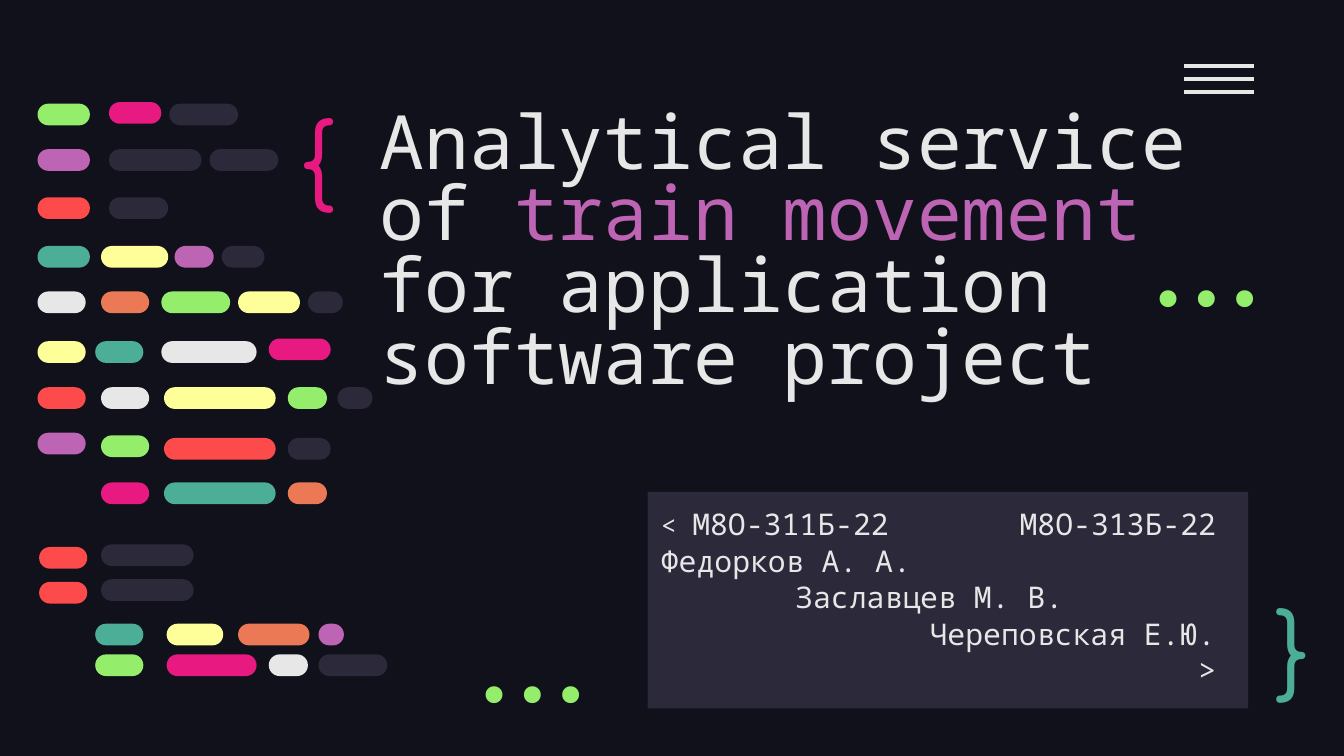
from dataclasses import dataclass

from lxml import etree
from pptx import Presentation
from pptx.dml.color import RGBColor
from pptx.enum.shapes import MSO_CONNECTOR, MSO_SHAPE
from pptx.enum.text import MSO_ANCHOR, PP_ALIGN
from pptx.oxml.ns import qn
from pptx.util import Cm, Pt

ROUNDED = MSO_SHAPE.ROUNDED_RECTANGLE
STRAIGHT = MSO_CONNECTOR.STRAIGHT
TOP, MIDDLE, BOTTOM = MSO_ANCHOR.TOP, MSO_ANCHOR.MIDDLE, MSO_ANCHOR.BOTTOM
LEFT, RIGHT, JUSTIFY = PP_ALIGN.LEFT, PP_ALIGN.RIGHT, PP_ALIGN.JUSTIFY


@dataclass(frozen=True)
class Theme:
    background: str = "10111A"
    panel: str = "2C293A"
    white: str = "E7E7E7"
    green: str = "94EE6B"
    pink: str = "E81A81"
    purple: str = "BD64B5"
    red: str = "FD4A4A"
    teal: str = "4CAE97"
    yellow: str = "FFFF99"
    orange: str = "EC7955"
    body_font: str = "Noto Sans Mono"
    brace_font: str = "Comfortaa"
    dots_font: str = "Fira Code"
    title_size: int = 40
    symbol_size: int = 50
    body_size: int = 16
    small_size: int = 14


class SlideBuilder:
    def __init__(self, slide, theme):
        self.s = slide
        self.theme = theme
        fill = slide.background.fill
        fill.solid()
        fill.fore_color.rgb = RGBColor.from_string(theme.background)

    def text_box(self, x, y, w, h, anchor=TOP, fill=None):
        sp = self.s.shapes.add_textbox(Cm(x), Cm(y), Cm(w), Cm(h))
        if fill:
            sp.fill.solid()
            sp.fill.fore_color.rgb = RGBColor.from_string(fill)
        tf = sp.text_frame
        tf.word_wrap = True
        tf.vertical_anchor = anchor
        tf.margin_left = tf.margin_right = Cm(0.25)
        tf.margin_top = tf.margin_bottom = Cm(0.25)
        return tf

    def run(self, p, text, size, color, font):
        r = p.add_run()
        r.text = text
        r.font.size = Pt(size)
        r.font.name = font
        r.font.color.rgb = RGBColor.from_string(color)

    def symbol(self, text, box, color, font, anchor=TOP, align=LEFT):
        p = self.text_box(*box, anchor=anchor).paragraphs[0]
        p.alignment = align
        self.run(p, text, self.theme.symbol_size, color, font)

    def indent(self, p, left):
        p._p.get_or_add_pPr().set("marL", str(Cm(left)))

    def tab_stop(self, p, pos):
        tabs = etree.SubElement(p._p.get_or_add_pPr(), qn("a:tabLst"))
        etree.SubElement(tabs, qn("a:tab"), pos=str(Cm(pos)), algn="l")

    def group(self):
        return self.s.shapes.add_group_shape()

    def bar(self, group, x, y, w, h, color):
        sp = group.shapes.add_shape(ROUNDED, Cm(x), Cm(y), Cm(w), Cm(h))
        sp.adjustments[0] = 0.5
        sp.shadow.inherit = False
        sp.fill.solid()
        sp.fill.fore_color.rgb = RGBColor.from_string(color)
        sp.line.fill.background()

    def line(self, group, x1, x2, y, color, width):
        ln = group.shapes.add_connector(STRAIGHT, Cm(x1), Cm(y), Cm(x2), Cm(y))
        ln.line.color.rgb = RGBColor.from_string(color)
        ln.line.width = Pt(width)
        etree.SubElement(ln._element.spPr, qn("a:effectLst"))


T = Theme()
BAR_HEIGHT = 0.41

# Code bars: top of the row, then (left, width, colour) of each bar, in cm
CODE_ROWS = [
    (1.96, [(0.71, 0.99, T.green), (3.2, 1.3, T.panel)]),
    (1.93, [(2.06, 0.99, T.pink)]),
    (2.82, [(0.71, 0.99, T.purple), (2.06, 1.75, T.panel), (3.96, 1.3, T.panel)]),
    (3.73, [(0.71, 0.99, T.red), (2.06, 1.12, T.panel)]),
    (4.65, [(0.71, 0.99, T.teal), (1.91, 1.27, T.yellow), (3.3, 0.74, T.purple),
            (4.19, 0.81, T.panel)]),
    (5.51, [(0.71, 0.91, T.white), (1.91, 0.91, T.orange), (3.05, 1.3, T.green),
            (4.5, 1.17, T.yellow), (5.82, 0.66, T.panel)]),
    (6.45, [(0.71, 0.91, T.yellow), (1.8, 0.91, T.teal), (3.05, 1.8, T.white)]),
    (6.4, [(5.08, 1.17, T.pink)]),
    (7.32, [(0.71, 0.91, T.red), (1.91, 0.91, T.white), (3.1, 2.11, T.yellow),
            (5.44, 0.74, T.green), (6.38, 0.66, T.panel)]),
    (8.18, [(0.71, 0.91, T.purple)]),
    (8.23, [(1.91, 0.91, T.green)]),
    (8.28, [(3.1, 2.11, T.red), (5.44, 0.81, T.panel)]),
    (9.12, [(1.91, 0.91, T.pink), (3.1, 2.11, T.teal), (5.44, 0.74, T.orange)]),
    (10.29, [(1.91, 1.75, T.panel)]),
    (10.34, [(0.74, 0.91, T.red)]),
    (10.95, [(1.91, 1.75, T.panel)]),
    (11, [(0.74, 0.91, T.red)]),
    (11.79, [(1.8, 0.91, T.teal), (3.15, 1.07, T.yellow), (4.5, 1.35, T.orange),
             (6.02, 0.48, T.purple)]),
    (12.37, [(1.8, 0.91, T.green), (3.15, 1.7, T.pink), (5.08, 0.74, T.white),
             (6.02, 1.3, T.panel)]),
]

# Authors: left indent in cm and text
AUTHOR_LINES = [
    (0, "М8О-311Б-22\tМ8О-313Б-22"),
    (0, "Федорков А. А."),
    (2.54, "Заславцев М. В."),
    (5.08, "Череповская Е.Ю."),
    (10.16, ">"),
]


def main():
    prs = Presentation()
    prs.slide_width, prs.slide_height = Cm(25.4), Cm(14.29)
    b = SlideBuilder(prs.slides.add_slide(prs.slide_layouts[6]), T)

    # Title
    p = b.text_box(6.93, 0.41, 15.9, 7.37, BOTTOM).paragraphs[0]
    p.line_spacing = 0.8
    b.run(p, "Analytical service of ", T.title_size, T.white, T.body_font)
    b.run(p, "train movement", T.title_size, T.purple, T.body_font)
    p.add_line_break()
    b.run(p, "for application software project", T.title_size, T.white, T.body_font)

    # Authors panel
    tf = b.text_box(12.24, 9.3, 11.35, 4.09, fill=T.panel)
    for i, (left, text) in enumerate(AUTHOR_LINES):
        p = tf.add_paragraph() if i else tf.paragraphs[0]
        p.alignment = JUSTIFY
        p.line_spacing = 1.02
        b.indent(p, left)
        if i == 0:
            b.tab_stop(p, 6.78)
            b.run(p, "< ", T.small_size, T.white, T.body_font)
        b.run(p, text, T.body_size, T.white, T.body_font)

    # Braces and dots
    b.symbol("{", (5.41, 1.6, 1.96, 2.41), T.pink, T.brace_font)
    b.symbol("}", (23.85, 11.13, 1.45, 2.11), T.teal, T.brace_font, MIDDLE)
    for x, y in [(20.68, 4.88), (7.95, 12.37)]:
        b.symbol("...", (x, y, 4.01, 1.52), T.green, T.dots_font, BOTTOM, RIGHT)

    # Menu icon
    menu = b.group()
    for i in range(3):
        b.line(menu, 22.38, 23.7, 1.24 + i * 0.25, T.white, 2.25)

    # Code bars
    code = b.group()
    for y, bars in CODE_ROWS:
        for x, w, color in bars:
            b.bar(code, x, y, w, BAR_HEIGHT, color)

    prs.save("out.pptx")


if __name__ == "__main__":
    main()
